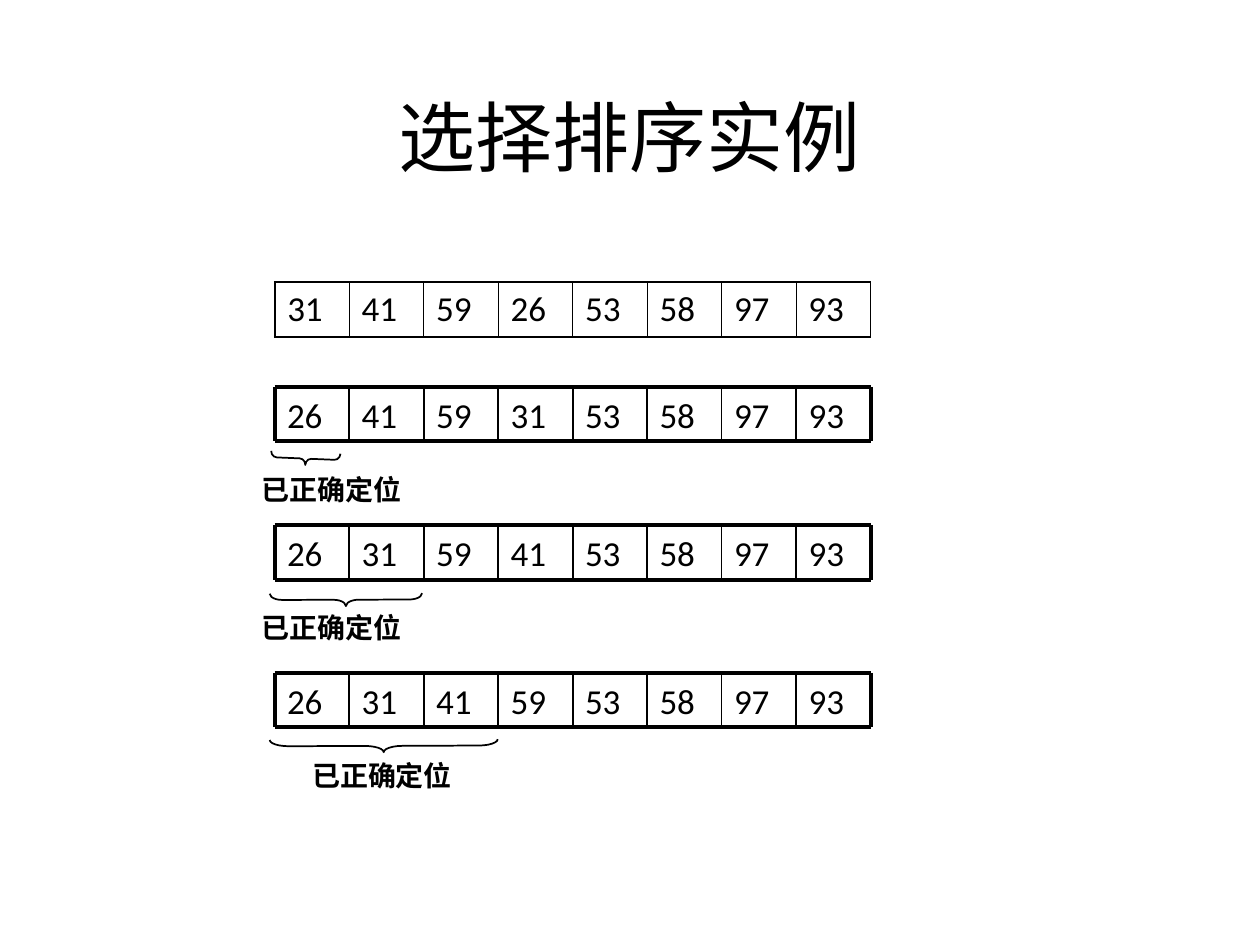
from lxml import etree
from pptx import Presentation
from pptx.dml.color import RGBColor
from pptx.enum.shapes import MSO_CONNECTOR as LINE, MSO_SHAPE as SHAPE
from pptx.enum.text import MSO_ANCHOR as ANCHOR, PP_ALIGN as ALIGN
from pptx.oxml import parse_xml
from pptx.oxml.ns import nsdecls, qn
from pptx.util import Inches, Pt

THEME = {
    "ink": "000000", "body": "Calibri", "label": "Arial",
    "title_size": 44, "number_size": 20, "label_size": 16,
    "frame": 2.25, "divider": 1, "table_frame": 1.08, "table_divider": 0.45,
}
INK = RGBColor.from_string(THEME["ink"])


def write(frame, text, size, font, bold=False, before=0, align=ALIGN.LEFT):
    frame.word_wrap = True
    paragraph = frame.paragraphs[0]
    paragraph.alignment = align
    paragraph.space_before = Pt(before)
    run = paragraph.add_run()
    run.text = text
    run.font.size, run.font.name, run.font.bold = Pt(size), font, bold
    run.font.color.rgb = INK


def rule(group, x1, y1, x2, y2, weight):
    line = group.shapes.add_connector(
        LINE.STRAIGHT, Inches(x1), Inches(y1), Inches(x2), Inches(y2))
    line.line.color.rgb = INK
    line.line.width = Pt(weight)
    etree.SubElement(line._element.spPr, qn("a:effectLst"))


prs = Presentation()
prs.slide_width, prs.slide_height = Inches(10), Inches(7.5)
slide = prs.slides.add_slide(prs.slide_layouts[6])

# Title
title = slide.shapes.add_textbox(Inches(0.75), Inches(0.56), Inches(8.5), Inches(1.03))
title.text_frame.vertical_anchor = ANCHOR.MIDDLE
write(title.text_frame, "选择排序实例", THEME["title_size"], THEME["body"], align=ALIGN.CENTER)

# Shared grid of the four arrays
left, width, height = 2.18, 4.73, 0.43
start = [31, 41, 59, 26, 53, 58, 97, 93]
count = len(start)
cell_width = width / count
edges = [left + i * cell_width for i in range(count + 1)]

# Unsorted array
table = slide.shapes.add_table(
    1, count, Inches(left), Inches(2.24), Inches(width), Inches(height)).table
table.first_row = table.horz_banding = False
for i, number in enumerate(start):
    table.columns[i].width = Inches(cell_width)
    cell = table.cell(0, i)
    cell.fill.background()
    write(cell.text_frame, str(number), THEME["number_size"], THEME["body"], before=5)
    outer = {"T", "B"} | ({"L"} if i == 0 else set()) | ({"R"} if i == count - 1 else set())
    props = cell._tc.get_or_add_tcPr()
    for position, side in enumerate("LRTB"):
        weight = THEME["table_frame" if side in outer else "table_divider"]
        props.insert(position, parse_xml(
            f'<a:ln{side} {nsdecls("a")} w="{Pt(weight)}"><a:solidFill>'
            f'<a:srgbClr val="{THEME["ink"]}"/></a:solidFill></a:ln{side}>'))

# Sorting passes: top, numbers, brace left, width, top and tilt, label left
passes = [
    (3.07, [26, 41, 59, 31, 53, 58, 97, 93], 2.15, 0.55, 3.59, 92.4, 1.98),
    (4.17, [26, 31, 59, 41, 53, 58, 97, 93], 2.14, 1.21, 4.71, 89.8, 1.98),
    (5.34, [26, 31, 41, 59, 53, 58, 97, 93], 2.14, 1.81, 5.87, 89.8, 2.38),
]
brace_depth = 0.1
for top, numbers, brace_left, brace_width, brace_top, tilt, label_left in passes:
    group = slide.shapes.add_group_shape()
    bottom = top + height

    for x, number in zip(edges, numbers):
        box = group.shapes.add_textbox(
            Inches(x), Inches(top), Inches(cell_width), Inches(height))
        write(box.text_frame, str(number), THEME["number_size"], THEME["body"], before=5)

    for y in (top, bottom):
        rule(group, left, y, left + width, y, THEME["frame"])
    for i, x in enumerate(edges):
        rule(group, x, top, x, bottom, THEME["frame" if i in (0, count) else "divider"])

    # Brace under the part that is already in place
    brace = group.shapes.add_shape(
        SHAPE.RIGHT_BRACE,
        Inches(brace_left + (brace_width - brace_depth) / 2),
        Inches(brace_top + (brace_depth - brace_width) / 2),
        Inches(brace_depth), Inches(brace_width))
    brace.rotation = tilt
    brace.adjustments[0] = brace_width / brace_depth / 12
    brace.shadow.inherit = False
    brace.fill.background()
    brace.line.color.rgb = INK
    brace.line.width = Pt(THEME["divider"])

    label = group.shapes.add_textbox(
        Inches(label_left), Inches(top + 0.63), Inches(1.53), Inches(0.37))
    write(label.text_frame, "已正确定位", THEME["label_size"], THEME["label"],
          bold=True, before=10)

prs.save("out.pptx")
